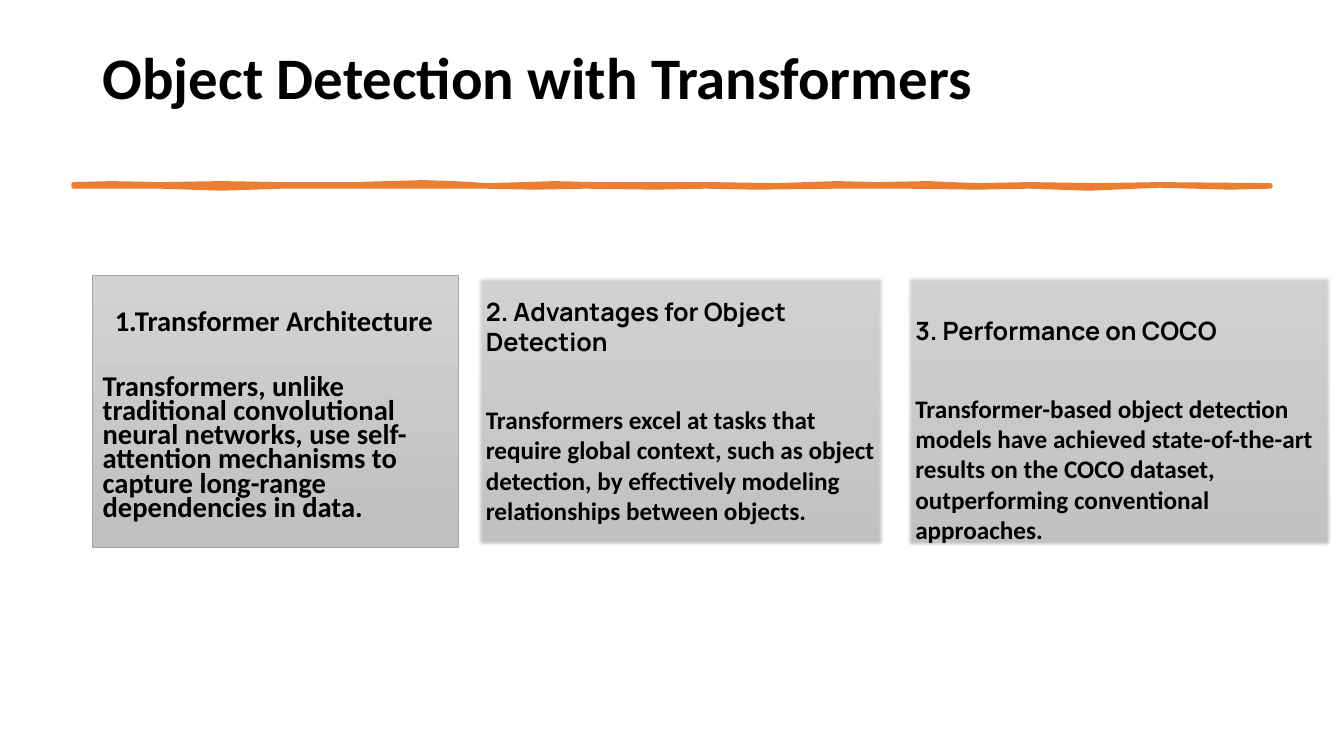
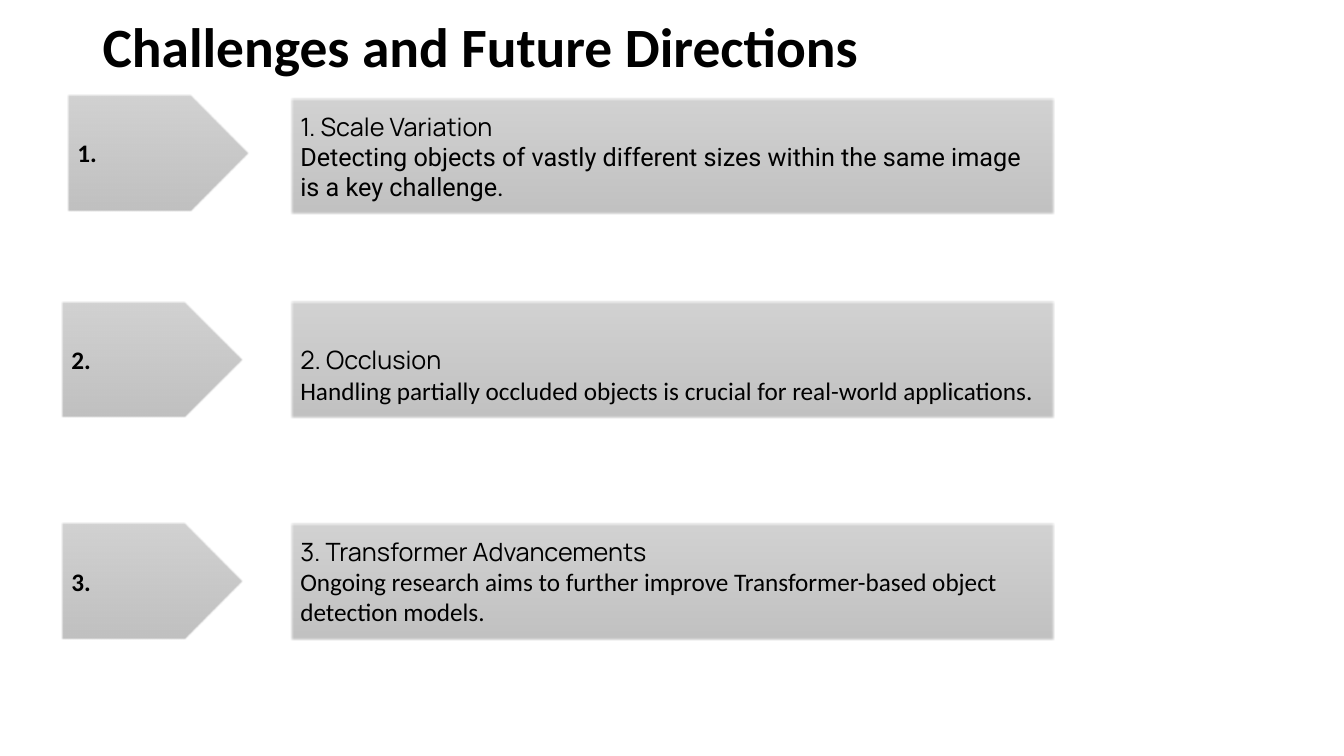
from dataclasses import dataclass

import lxml.etree
import pptx
import pptx.dml.color
import pptx.enum.shapes
import pptx.enum.text
import pptx.oxml.ns
import pptx.shapes.autoshape
import pptx.slide
import pptx.text.text
import pptx.util

Inches = pptx.util.Inches
Pt = pptx.util.Pt
RGBColor = pptx.dml.color.RGBColor
Preset = pptx.enum.shapes.MSO_SHAPE
Anchor = pptx.enum.text.MSO_ANCHOR
qn = pptx.oxml.ns.qn

BLACK = RGBColor(0x00, 0x00, 0x00)
ORANGE = RGBColor(0xED, 0x7D, 0x31)
PANEL_TOP = RGBColor(0xD2, 0xD2, 0xD2)
PANEL_BOTTOM = RGBColor(0xC0, 0xC0, 0xC0)
PANEL_EDGE = RGBColor(0xA5, 0xA5, 0xA5)

BODY_FONT = "Calibri"
HEADING_FONT = "Manrope"
BODY_SIZE = 18

CARD_TOP, CARD_HEIGHT = 2.73, 2.7
ARROW_WIDTH, ARROW_HEIGHT = 1.8, 1.15
CHALLENGE_LEFT, CHALLENGE_WIDTH, CHALLENGE_HEIGHT = 2.88, 7.58, 1.16

STROKE_TOP = [
    (0.73, 1.83), (1.1, 1.82), (1.6, 1.83), (2.2, 1.82), (2.8, 1.83),
    (3.5, 1.83), (4.2, 1.81), (4.5, 1.82), (4.85, 1.84), (5.2, 1.83),
    (5.5, 1.82), (5.9, 1.83), (6.5, 1.83), (7.05, 1.83), (7.7, 1.84),
    (8.3, 1.82), (8.7, 1.83), (9.2, 1.82), (9.7, 1.84), (10.2, 1.83),
    (10.9, 1.84), (11.5, 1.83), (12.6, 1.84),
]
STROKE_BOTTOM = [
    (12.6, 1.85), (12.2, 1.86), (11.5, 1.84), (10.8, 1.87), (10.2, 1.85),
    (9.7, 1.86), (9.0, 1.85), (8.3, 1.85), (7.5, 1.86), (7.0, 1.85),
    (6.5, 1.86), (5.8, 1.85), (5.3, 1.86), (4.8, 1.85), (4.2, 1.85),
    (3.6, 1.85), (2.8, 1.85), (2.2, 1.87), (1.6, 1.85), (0.73, 1.85),
]


@dataclass(frozen=True)
class Line:
    text: str
    font: str = BODY_FONT
    size: float = BODY_SIZE
    bold: bool = False
    space_after: float = 0
    spacing: float = 1.0
    indent: float = 0


@dataclass(frozen=True)
class Panel:
    left: float
    top: float
    width: float
    height: float
    lines: tuple[Line, ...]
    preset: Preset = Preset.RECTANGLE
    anchor: Anchor = Anchor.MIDDLE
    inset_top: float = 0.05
    soft_edge: float = 1


def card(left: float, width: float, heading: str, body: str, inset_top: float) -> Panel:
    return Panel(
        left, CARD_TOP, width, CARD_HEIGHT,
        (Line(heading, HEADING_FONT, bold=True, space_after=34), Line(body, bold=True)),
        anchor=Anchor.TOP, inset_top=inset_top, soft_edge=2.5,
    )


def arrow(number: int, left: float, top: float) -> Panel:
    return Panel(
        left, top, ARROW_WIDTH, ARROW_HEIGHT,
        (Line(f"{number}.", bold=True),), preset=Preset.PENTAGON,
    )


def challenge(
    top: float, heading: str, body: str, font: str = BODY_FONT, inset_top: float = 0.05
) -> Panel:
    return Panel(
        CHALLENGE_LEFT, top, CHALLENGE_WIDTH, CHALLENGE_HEIGHT,
        (Line(heading, HEADING_FONT), Line(body, font)), inset_top=inset_top,
    )


ARCHITECTURE = Panel(
    0.92, CARD_TOP, 3.63, CARD_HEIGHT,
    (
        Line("1.Transformer Architecture", size=20.4, bold=True,
             space_after=29.5, spacing=0.7, indent=0.12),
        Line("Transformers, unlike traditional convolutional neural networks, use "
             "self-attention mechanisms to capture long-range dependencies in data.",
             size=20.4, bold=True, spacing=0.7),
    ),
    anchor=Anchor.TOP, inset_top=0.37, soft_edge=0,
)

DETECTION_PANELS = [
    ARCHITECTURE,
    card(4.72, 4.06, "2. Advantages for Object Detection",
         "Transformers excel at tasks that require global context, such as object "
         "detection, by effectively modeling relationships between objects.", 0.21),
    card(8.98, 4.23, "3. Performance on COCO",
         "Transformer-based object detection models have achieved state-of-the-art "
         "results on the COCO dataset, outperforming conventional approaches.", 0.4),
]

CHALLENGE_PANELS = [
    arrow(1, 0.67, 0.94),
    arrow(2, 0.61, 2.99),
    arrow(3, 0.61, 5.19),
    challenge(0.97, "1. Scale Variation",
              "Detecting objects of vastly different sizes within the same image "
              "is a key challenge.", font="Roboto"),
    challenge(2.99, "2. Occlusion",
              "Handling partially occluded objects is crucial for real-world "
              "applications.", inset_top=0.35),
    challenge(5.19, "3. Transformer Advancements",
              "Ongoing research aims to further improve Transformer-based object "
              "detection models."),
]


def write_lines(frame: pptx.text.text.TextFrame, lines: tuple[Line, ...]) -> None:
    frame.word_wrap = True
    frame.text = "\n".join(line.text for line in lines)
    for paragraph, line in zip(frame.paragraphs, lines):
        paragraph.alignment = pptx.enum.text.PP_ALIGN.LEFT
        paragraph.line_spacing = line.spacing
        paragraph.space_after = Pt(line.space_after)
        if line.indent:
            paragraph._p.get_or_add_pPr().set("marL", str(Inches(line.indent)))
        font = paragraph.runs[0].font
        font.name = line.font
        font.size = Pt(line.size)
        font.bold = line.bold
        font.color.rgb = BLACK


def add_title(slide: pptx.slide.Slide, text: str, top: float, size: float) -> None:
    title = slide.shapes.add_textbox(Inches(0.92), Inches(top), Inches(11.5), Inches(0.7))
    title.text_frame.margin_top = 0
    write_lines(title.text_frame, (Line(text, size=size, bold=True, spacing=0.9),))


def soften(shape: pptx.shapes.autoshape.Shape, radius: float) -> None:
    effects = shape._element.spPr.find(qn("a:effectLst"))
    lxml.etree.SubElement(effects, qn("a:softEdge")).set("rad", str(Pt(radius)))


def add_panel(slide: pptx.slide.Slide, panel: Panel) -> None:
    shape = slide.shapes.add_shape(
        panel.preset, Inches(panel.left), Inches(panel.top),
        Inches(panel.width), Inches(panel.height),
    )
    shape.fill.gradient()
    shape.fill.gradient_angle = 270
    for stop, color in zip(shape.fill.gradient_stops, (PANEL_TOP, PANEL_BOTTOM)):
        stop.color.rgb = color
    shape.line.color.rgb = PANEL_EDGE
    shape.line.width = Pt(0.5)
    shape.shadow.inherit = False
    if panel.soft_edge:
        soften(shape, panel.soft_edge)
    frame = shape.text_frame
    frame.vertical_anchor = panel.anchor
    frame.margin_top = Inches(panel.inset_top)
    write_lines(frame, panel.lines)


def add_brush_stroke(slide: pptx.slide.Slide) -> None:
    start, *rest = [(Inches(x), Inches(y)) for x, y in STROKE_TOP + STROKE_BOTTOM]
    builder = slide.shapes.build_freeform(*start)
    builder.add_line_segments(rest, close=True)
    stroke = builder.convert_to_shape()
    stroke.fill.solid()
    stroke.fill.fore_color.rgb = ORANGE
    stroke.line.color.rgb = ORANGE
    stroke.line.width = Pt(3.25)
    stroke.shadow.inherit = False
    lxml.etree.SubElement(stroke.line._get_or_add_ln(), qn("a:round"))


def add_slide(
    deck, title: str, title_top: float, title_size: float, panels: list[Panel]
) -> pptx.slide.Slide:
    slide = deck.slides.add_slide(deck.slide_layouts[6])
    add_title(slide, title, title_top, title_size)
    for panel in panels:
        add_panel(slide, panel)
    return slide


def main() -> None:
    deck = pptx.Presentation()
    deck.slide_width = Inches(13.33)
    deck.slide_height = Inches(7.5)
    detection = add_slide(
        deck, "Object Detection with Transformers", 0.48, 42, DETECTION_PANELS
    )
    add_brush_stroke(detection)
    add_slide(deck, "Challenges and Future Directions", 0.19, 39.6, CHALLENGE_PANELS)
    deck.save("out.pptx")


if __name__ == "__main__":
    main()
